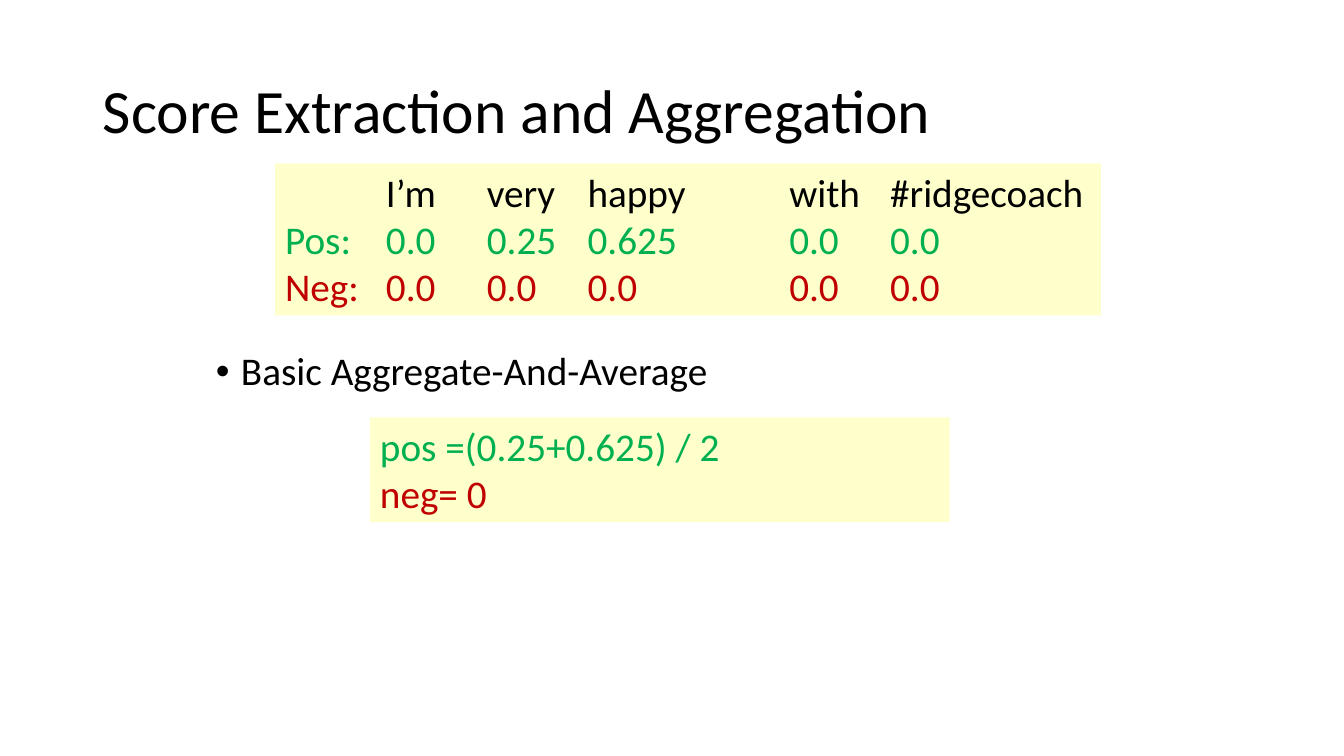
from lxml import etree
from pptx import Presentation
from pptx.dml.color import RGBColor
from pptx.enum.text import MSO_ANCHOR, MSO_AUTO_SIZE, PP_ALIGN
from pptx.oxml.ns import qn
from pptx.util import Inches, Pt

LEFT = PP_ALIGN.LEFT
MIDDLE = MSO_ANCHOR.MIDDLE
NO_FIT = MSO_AUTO_SIZE.NONE
GROW = MSO_AUTO_SIZE.SHAPE_TO_FIT_TEXT

BLACK = RGBColor(0x00, 0x00, 0x00)
GREEN = RGBColor(0x00, 0xB0, 0x50)
RED = RGBColor(0xC0, 0x00, 0x00)
CREAM = RGBColor(0xFF, 0xFF, 0xCC)

WORD_STOPS = (1, 2, 3, 5, 6)


class ScoreSlide:
    """Holds the text style and the slide being built."""

    font_name = "Calibri"
    title_size = Pt(44)
    text_size = Pt(28)

    def __init__(self, deck):
        self.slide = deck.slides.add_slide(deck.slide_layouts[1])

    def style(self, paragraph, size, color):
        paragraph.alignment = LEFT
        paragraph.space_before = Pt(0)
        font = paragraph.font
        font.name, font.size, font.color.rgb = self.font_name, size, color

    def place(self, shape, area):
        shape.left, shape.top, shape.width, shape.height = map(Inches, area)
        shape.text_frame.auto_size = NO_FIT

    def title(self, text, area):
        heading = self.slide.shapes.title
        self.place(heading, area)
        heading.text_frame.text = text
        heading.text_frame.vertical_anchor = MIDDLE
        paragraph = heading.text_frame.paragraphs[0]
        paragraph.line_spacing = 0.9
        self.style(paragraph, self.title_size, BLACK)

    def bullet(self, text, area):
        body = self.slide.placeholders[1]
        self.place(body, area)
        body.text_frame.text = text
        paragraph = body.text_frame.paragraphs[0]
        paragraph.line_spacing = 0.9
        paragraph.space_before = Pt(0)
        properties = paragraph._p.get_or_add_pPr()
        properties.set("marL", str(Inches(0.25)))
        properties.set("indent", str(Inches(-0.25)))
        etree.SubElement(properties, qn("a:buFont"), typeface="Arial")
        etree.SubElement(properties, qn("a:buChar"), char="•")
        self.style(paragraph, self.text_size, BLACK)

    def panel(self, lines, area, stops=()):
        box = self.slide.shapes.add_textbox(*map(Inches, area))
        box.fill.solid()
        box.fill.fore_color.rgb = CREAM
        frame = box.text_frame
        frame.word_wrap = True
        frame.auto_size = GROW
        frame.text = "\n".join(text for text, _ in lines)
        for paragraph, (_, color) in zip(frame.paragraphs, lines):
            paragraph.space_before = Pt(0)
            if stops:
                tabs = etree.SubElement(paragraph._p.get_or_add_pPr(), qn("a:tabLst"))
                for stop in stops:
                    etree.SubElement(tabs, qn("a:tab"), pos=str(Inches(stop)), algn="l")
            self.style(paragraph, self.text_size, color)


def main():
    deck = Presentation()
    deck.slide_width, deck.slide_height = Inches(13.33), Inches(7.5)
    scores = ScoreSlide(deck)

    # Heading and method
    scores.title("Score Extraction and Aggregation", (0.92, 0.4, 11.5, 1.45))
    scores.bullet("Basic Aggregate-And-Average", (2.04, 3.44, 9, 1.97))

    # Scores of each word
    word_scores = [
        ("\tI’m\tvery\thappy\twith\t#ridgecoach", BLACK),
        ("Pos:\t0.0\t0.25\t0.625\t0.0\t0.0", GREEN),
        ("Neg:\t0.0\t0.0\t0.0\t0.0\t0.0", RED),
    ]
    scores.panel(word_scores, (2.73, 1.62, 8.19, 1.51), WORD_STOPS)

    # Averaged scores
    averages = [("pos =(0.25+0.625) / 2", GREEN), ("neg= 0", RED)]
    scores.panel(averages, (3.67, 4.14, 5.75, 1.04))

    deck.save("out.pptx")


if __name__ == "__main__":
    main()
